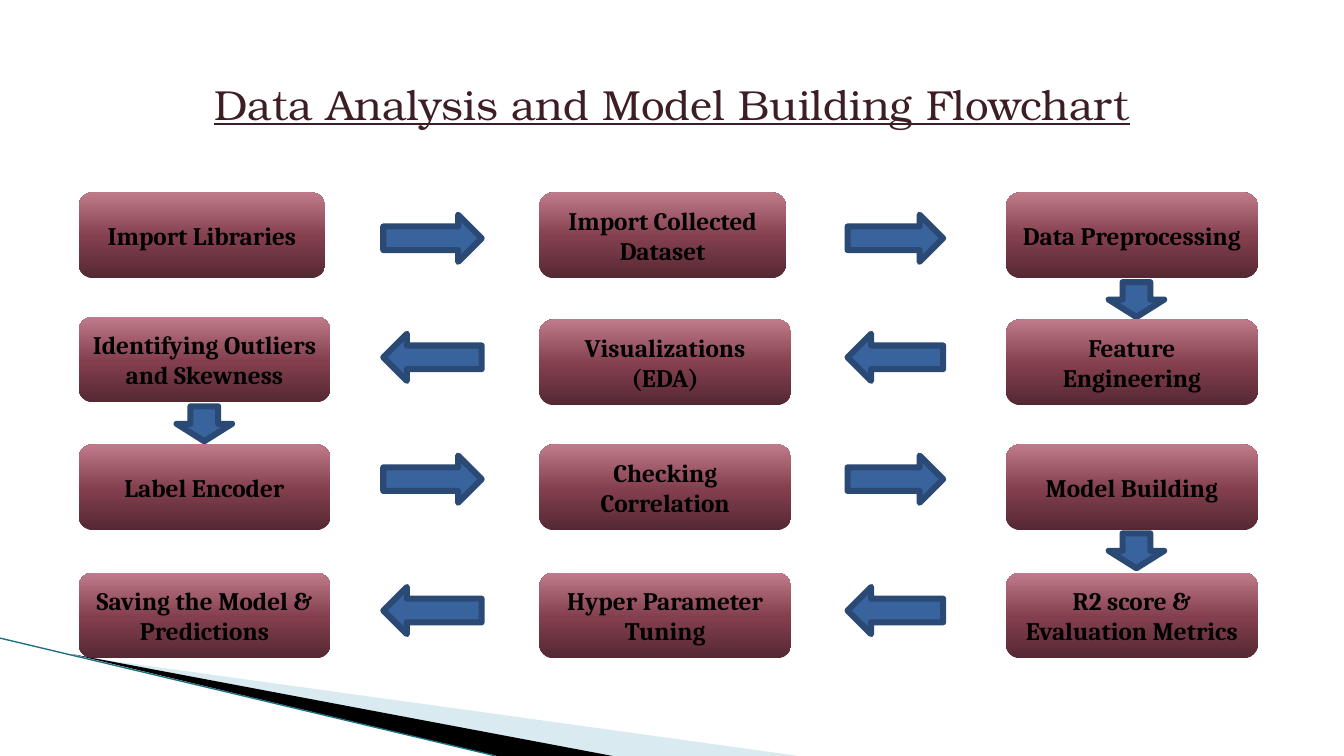
from pptx import Presentation
from pptx.dml.color import RGBColor
from pptx.enum.shapes import MSO_CONNECTOR, MSO_SHAPE
from pptx.enum.text import MSO_ANCHOR, PP_ALIGN
from pptx.oxml import parse_xml
from pptx.oxml.ns import nsdecls
from pptx.util import Cm, Pt
from lxml import etree

# Content: each row lists its steps from left to right
TITLE = "Data Analysis and Model Building Flowchart"
STEPS = [
    ["Import Libraries", "Import Collected Dataset", "Data Preprocessing"],
    ["Identifying Outliers and Skewness", "Visualizations\n(EDA)", "Feature Engineering"],
    ["Label Encoder", "Checking Correlation", "Model Building"],
    ["Saving the Model & Predictions", "Hyper Parameter Tuning", "R2 score & Evaluation Metrics"],
]
COLORS = {
    "title": "3E1E25", "text": "000000", "arrow": "39639D", "arrow_edge": "2A4974",
    "box_bottom": "542832", "box_middle": "843F4E", "box_top": "C07B8A",
    "light_wedge": "D9EAF1", "dark_wedge": "000000", "edge_line": "1B6F80",
}

# Layout in centimetres
BOX_LEFTS = [1.98, 13.59, 25.35]
ROW_TOPS = [4.85, 8.05, 11.2, 14.43]
BOX_WIDTH, BOX_HEIGHT = 6.35, 2.16
BOX_EXCEPTIONS = {  # (row, column): (top, width)
    (0, 0): (4.85, 6.22), (0, 1): (4.85, 6.22), (1, 0): (7.98, 6.35),
}
ACROSS_ARROWS = [(9.66, 2.48), (21.36, 2.41)]  # left, width
ACROSS_TOPS = [5.41, 8.41, 11.48, 14.79]
ACROSS_HEIGHT = 1.19
DOWN_ARROWS = [(27.94, 7.11), (4.45, 10.24), (27.94, 13.44)]  # left, top
DOWN_WIDTH, DOWN_HEIGHT = 1.4, 0.88
WEDGES = [
    ("light_wedge", [(1.85, 16.52), (20.14, 19.05), (15.44, 19.05)]),
    ("dark_wedge", [(1.8, 16.48), (15.44, 19.05), (12.5, 19.05)]),
]


def color(name):
    return RGBColor.from_string(COLORS[name])


def write(shape, text, font_name, size, color_name):
    frame = shape.text_frame
    frame.word_wrap = True
    frame.vertical_anchor = MSO_ANCHOR.MIDDLE
    frame.text = text
    for paragraph in frame.paragraphs:
        paragraph.alignment = PP_ALIGN.CENTER
        paragraph.font.name = font_name
        paragraph.font.size = Pt(size)
        paragraph.font.color.rgb = color(color_name)
    return frame.paragraphs


def add_arrow(slide, kind, left, top, width, height):
    arrow = slide.shapes.add_shape(kind, Cm(left), Cm(top), Cm(width), Cm(height))
    arrow.shadow.inherit = False
    arrow.fill.solid()
    arrow.fill.fore_color.rgb = color("arrow")
    arrow.line.color.rgb = color("arrow_edge")
    arrow.line.width = Pt(4.33)


def add_step(slide, text, left, top, width):
    box = slide.shapes.add_shape(MSO_SHAPE.FLOWCHART_ALTERNATE_PROCESS,
                                 Cm(left), Cm(top), Cm(width), Cm(BOX_HEIGHT))
    box.shadow.inherit = False
    box.line.fill.background()
    stops = [(0, "box_bottom"), (48, "box_middle"), (100, "box_top")]
    stop_xml = "".join(f'<a:gs pos="{position * 1000}"><a:srgbClr val="{COLORS[name]}"/></a:gs>'
                       for position, name in stops)
    gradient = parse_xml(f'<a:gradFill {nsdecls("a")} rotWithShape="1"><a:gsLst>{stop_xml}</a:gsLst>'
                         '<a:lin ang="16200000" scaled="0"/></a:gradFill>')
    box.element.spPr.prstGeom.addnext(gradient)
    for paragraph in write(box, text, "Cambria", 18, "text"):
        paragraph.font.bold = True


def main():
    presentation = Presentation()
    presentation.slide_width, presentation.slide_height = Cm(33.87), Cm(19.05)
    slide = presentation.slides.add_slide(presentation.slide_layouts[6])

    # Corner decoration
    for color_name, points in WEDGES:
        corners = [(Cm(x), Cm(y)) for x, y in points]
        builder = slide.shapes.build_freeform(*corners[0])
        builder.add_line_segments(corners[1:], close=True)
        wedge = builder.convert_to_shape()
        wedge.shadow.inherit = False
        wedge.fill.solid()
        wedge.fill.fore_color.rgb = color(color_name)
        wedge.line.fill.background()
    edge = slide.shapes.add_connector(MSO_CONNECTOR.STRAIGHT, Cm(0), Cm(16.08), Cm(12.5), Cm(19.05))
    edge.line.color.rgb = color("edge_line")
    edge.line.width = Pt(0.95)
    etree.SubElement(edge.element.spPr, "{http://schemas.openxmlformats.org/drawingml/2006/main}effectLst")

    # Title
    title = slide.shapes.add_textbox(Cm(0), Cm(1.83), Cm(33.87), Cm(1.55))
    write(title, TITLE, "TeX Gyre Bonum", 30, "title")[0].font.underline = True

    # Arrows: rows alternate direction
    for row, top in enumerate(ACROSS_TOPS):
        kind = MSO_SHAPE.LEFT_ARROW if row % 2 else MSO_SHAPE.RIGHT_ARROW
        for left, width in ACROSS_ARROWS:
            add_arrow(slide, kind, left, top, width, ACROSS_HEIGHT)
    for left, top in DOWN_ARROWS:
        add_arrow(slide, MSO_SHAPE.DOWN_ARROW, left, top, DOWN_WIDTH, DOWN_HEIGHT)

    # Step boxes
    for row, texts in enumerate(STEPS):
        for column, text in enumerate(texts):
            top, width = BOX_EXCEPTIONS.get((row, column), (ROW_TOPS[row], BOX_WIDTH))
            add_step(slide, text, BOX_LEFTS[column], top, width)

    presentation.save("out.pptx")


if __name__ == "__main__":
    main()
